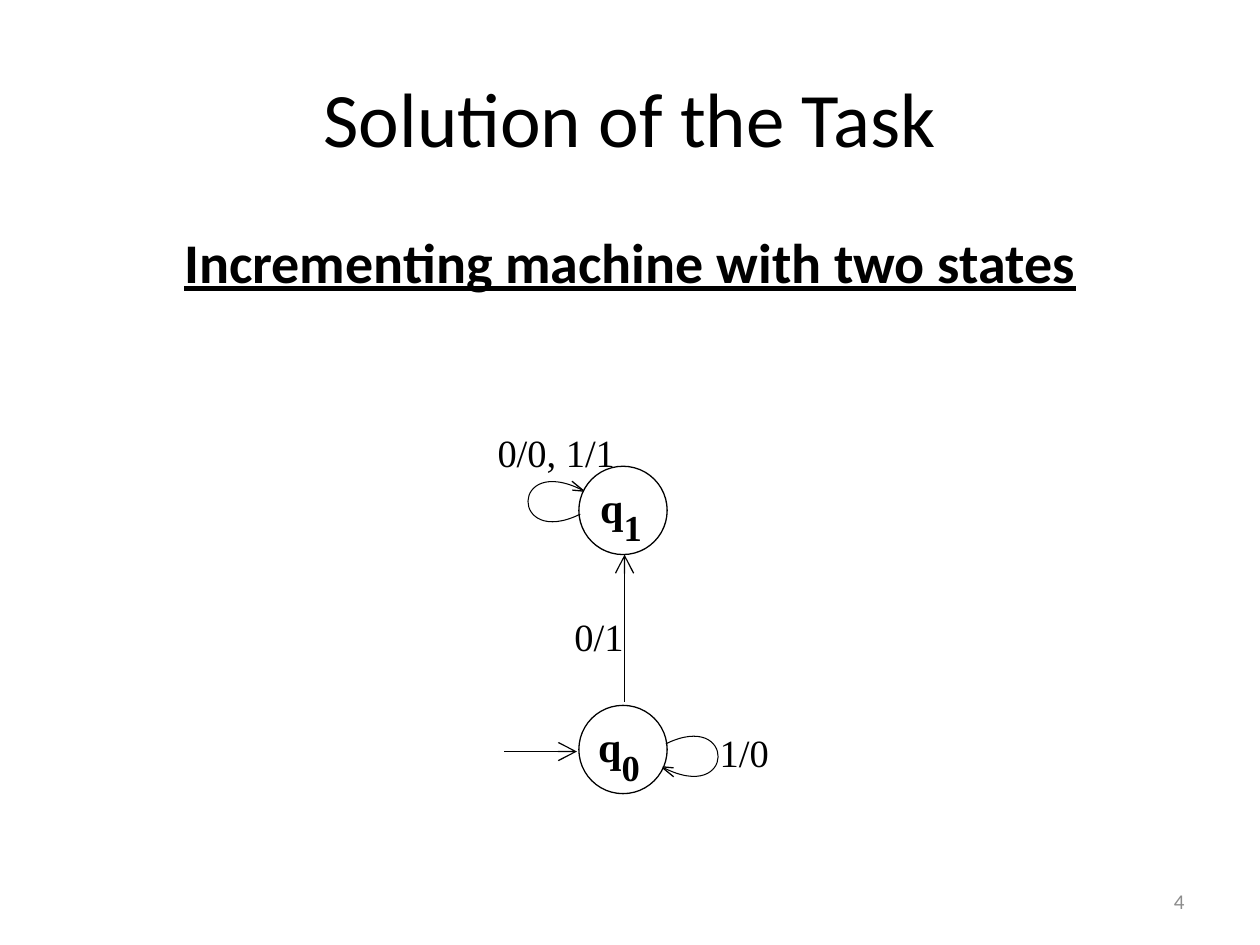
"""Build a slide showing a two-state incrementing machine."""
from lxml.etree import SubElement
from pptx import Presentation
from pptx.dml.color import RGBColor
from pptx.enum.shapes import MSO_CONNECTOR, MSO_SHAPE
from pptx.enum.text import MSO_ANCHOR, PP_ALIGN
from pptx.oxml.ns import qn
from pptx.util import Cm, Pt

BLACK = RGBColor(0x00, 0x00, 0x00)
WHITE = RGBColor(0xFF, 0xFF, 0xFF)
GREY = RGBColor(0x8C, 0x8C, 0x8C)
SERIF = "Times New Roman"

TITLE = "Solution of the Task"
HEADING = "Incrementing machine with two states"
PAGE_NUMBER = "4"
DIAMETER = 1.78
STATE_LEFT = 11.67
STATES = [("q", "0", 14.22, 11.81), ("q", "1", 9.4, 11.85)]
LABELS = [
    ("0/1", 11.33, 12.24, 2.57),
    ("1/0", 14.26, 14.58, 2.57),
    ("0/0, 1/1", 9.78, 8.52, 2.97),
]
ARROWS = [((12.59, 14.15), (12.59, 11.18)), ((10.16, 15.15), (11.63, 15.15))]
LOOP = [(-0.02, 0.81), (-0.95, -0.46), (0.95, -0.8), (0.46, 0.78)]
LOWER_BARB = [(-0.09, 0.11), (0.09, -0.11)]
UPPER_BARB = [(0.01, -0.11), (-0.01, 0.11)]
STROKES = [
    (LOOP, 14.21, 15.15, 100, 0.6),
    (LOWER_BARB, 13.47, 15.57, 90, 0.75),
    (UPPER_BARB, 13.47, 15.47, 90, 0.75),
    (LOOP, 10.91, 10.2, 280, 0.6),
    (LOWER_BARB, 11.64, 9.79, 270, 0.75),
    (UPPER_BARB, 11.65, 9.89, 270, 0.75),
]


def write(frame, text, subscript="", size=22, font=SERIF, color=BLACK, bold=False,
          underline=False, align=PP_ALIGN.LEFT, anchor=MSO_ANCHOR.TOP):
    frame.word_wrap = True
    frame.vertical_anchor = anchor
    paragraph = frame.paragraphs[0]
    paragraph.alignment = align
    paragraph.space_before = Pt(0)
    pieces = [(text, size)] + ([(subscript, size * 1.5)] if subscript else [])
    for piece, points in pieces:
        run = paragraph.add_run()
        run.text = piece
        run.font.size = Pt(points)
        run.font.name = font
        run.font.bold = bold
        run.font.underline = underline
        run.font.color.rgb = color
    if subscript:
        run.font._element.set("baseline", "-30000")
    return paragraph


def add_label(slide, text, left, top, width, height, **style):
    label = slide.shapes.add_textbox(Cm(left), Cm(top), Cm(width), Cm(height))
    write(label.text_frame, text, **style)


def style_line(line, width=0.75):
    line.color.rgb = BLACK
    line.width = Pt(width)


def add_state(slide, top):
    state = slide.shapes.add_shape(
        MSO_SHAPE.OVAL, Cm(STATE_LEFT), Cm(top), Cm(DIAMETER), Cm(DIAMETER))
    state.shadow.inherit = False
    state.fill.solid()
    state.fill.fore_color.rgb = WHITE
    style_line(state.line)


def add_arrow(slide, start, end):
    arrow = slide.shapes.add_connector(
        MSO_CONNECTOR.STRAIGHT, *(Cm(value) for value in start + end))
    style_line(arrow.line)
    SubElement(arrow.line._get_or_add_ln(), qn("a:tailEnd"), type="arrow", w="lg", len="lg")
    SubElement(arrow._element.spPr, qn("a:effectLst"))


def bend(stroke):
    segments = list(stroke._element.iter(qn("a:lnTo")))
    curve = SubElement(segments[0].getparent(), qn("a:cubicBezTo"))
    for segment in segments:
        curve.append(segment[0])
        segment.getparent().remove(segment)


def add_stroke(slide, offsets, center_x, center_y, rotation, width):
    points = [(Cm(center_x + x), Cm(center_y + y)) for x, y in offsets]
    builder = slide.shapes.build_freeform(*points[0])
    builder.add_line_segments(points[1:], close=False)
    stroke = builder.convert_to_shape()
    stroke.rotation = rotation
    stroke.shadow.inherit = False
    stroke.fill.background()
    style_line(stroke.line, width)
    if offsets is LOOP:
        bend(stroke)


def main():
    deck = Presentation()
    deck.slide_width, deck.slide_height = Cm(25.4), Cm(19.05)
    slide = deck.slides.add_slide(deck.slide_layouts[1])
    title, body = slide.placeholders
    for part, top, height in ((title, 0.76, 3.18), (body, 4.45, 12.57)):
        part.left, part.top, part.width, part.height = Cm(1.27), Cm(top), Cm(22.86), Cm(height)
    write(title.text_frame, TITLE, size=44, font="Calibri",
          align=PP_ALIGN.CENTER, anchor=MSO_ANCHOR.MIDDLE)
    heading = write(body.text_frame, HEADING, size=32, font="Calibri",
                    bold=True, underline=True, align=PP_ALIGN.CENTER)
    SubElement(heading._p.get_or_add_pPr(), qn("a:buNone"))

    for name, index, top, name_left in STATES:
        add_state(slide, top)
        add_label(slide, name, name_left, top - 0.25, 2.44, 1.14,
                  subscript=index, size=24, bold=True)
    for stroke in STROKES:
        add_stroke(slide, *stroke)
    for start, end in ARROWS:
        add_arrow(slide, start, end)
    for text, left, top, width in LABELS:
        add_label(slide, text, left, top, width, 1.04)
    add_label(slide, PAGE_NUMBER, 18.2, 17.65, 5.93, 1.02, size=12, font="Calibri",
              color=GREY, align=PP_ALIGN.RIGHT, anchor=MSO_ANCHOR.MIDDLE)
    deck.save("out.pptx")


if __name__ == "__main__":
    main()
